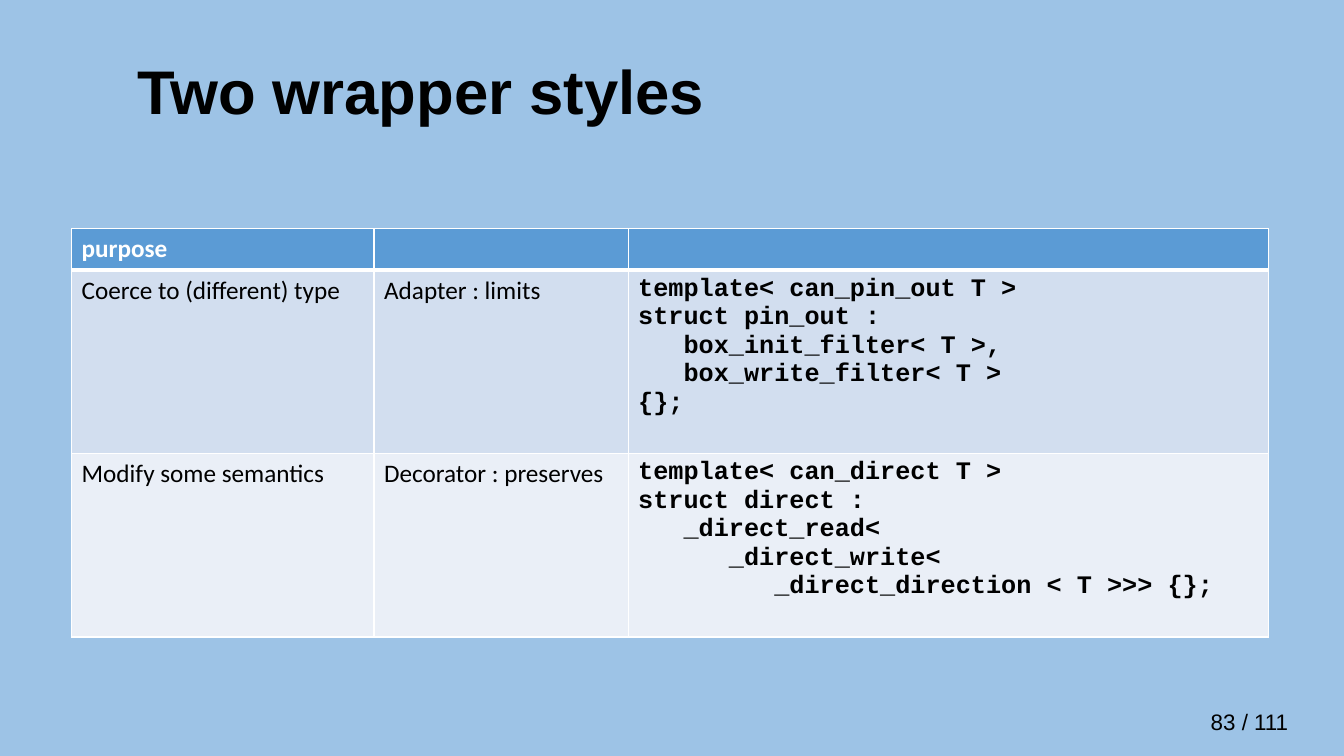
from dataclasses import dataclass

from lxml.etree import SubElement
from pptx import Presentation
from pptx.dml.color import RGBColor
from pptx.enum.text import MSO_ANCHOR, MSO_AUTO_SIZE, PP_ALIGN
from pptx.oxml.ns import qn
from pptx.util import Inches, Pt


@dataclass(frozen=True)
class Theme:
    background: str = "9DC3E6"
    ink: str = "000000"
    white: str = "FFFFFF"
    header: str = "5B9BD5"
    bands: tuple = ("D2DEEF", "EAEFF7")
    heading_font: str = "Arial"
    text_font: str = "Calibri"
    code_font: str = "Courier New"
    title_size: int = 44
    table_size: int = 18
    number_size: int = 16


ADAPTER_CODE = """template< can_pin_out T >
struct pin_out :
   box_init_filter< T >,
   box_write_filter< T >
{};"""

DECORATOR_CODE = """template< can_direct T >
struct direct :
   _direct_read<
      _direct_write<
         _direct_direction < T >>> {};"""

WRAPPER_ROWS = [
    ("purpose", "", ""),
    ("Coerce to (different) type", "Adapter : limits", ADAPTER_CODE),
    ("Modify some semantics", "Decorator : preserves", DECORATOR_CODE),
]


class SlideBuilder:
    def __init__(self, deck, theme):
        self.theme = theme
        self.page = deck.slides.add_slide(deck.slide_layouts[5])
        fill = self.page.background.fill
        fill.solid()
        fill.fore_color.rgb = RGBColor.from_string(theme.background)

    def set_text(self, frame, text, font, size, color, bold=False):
        frame.text = text
        for para in frame.paragraphs:
            para.alignment = PP_ALIGN.LEFT
            for span in para.runs:
                span.font.name = font
                span.font.size = Pt(size)
                span.font.bold = bold
                span.font.color.rgb = RGBColor.from_string(color)

    def title(self, text, left, top, width, height):
        box = self.page.shapes.title
        box.left, box.top = Inches(left), Inches(top)
        box.width, box.height = Inches(width), Inches(height)
        frame = box.text_frame
        frame.vertical_anchor = MSO_ANCHOR.MIDDLE
        self.set_text(frame, text, self.theme.heading_font,
                      self.theme.title_size, self.theme.ink, True)
        frame.paragraphs[0].line_spacing = 0.9

    def page_number(self, text, left, top, width, height):
        box = self.page.shapes.add_textbox(
            Inches(left), Inches(top), Inches(width), Inches(height))
        frame = box.text_frame
        frame.word_wrap = True
        frame.auto_size = MSO_AUTO_SIZE.SHAPE_TO_FIT_TEXT
        self.set_text(frame, text, self.theme.heading_font,
                      self.theme.number_size, self.theme.ink)

    def borders(self, cell, top, bottom):
        properties = cell._tc.get_or_add_tcPr()
        widths = {"a:lnL": 1, "a:lnR": 1, "a:lnT": top, "a:lnB": bottom}
        for side, width in widths.items():
            line = SubElement(properties, qn(side), w=str(Pt(width)))
            paint = SubElement(line, qn("a:solidFill"))
            SubElement(paint, qn("a:srgbClr"), val=self.theme.white)

    def table(self, rows, left, top, widths, heights):
        theme = self.theme
        grid = self.page.shapes.add_table(
            len(rows), len(widths), Inches(left), Inches(top),
            Inches(sum(widths)), Inches(sum(heights))).table
        for column, width in zip(grid.columns, widths):
            column.width = Inches(width)
        for row, height in zip(grid.rows, heights):
            row.height = Inches(height)
        fills = (theme.header, *theme.bands)
        for row_index, texts in enumerate(rows):
            is_header = row_index == 0
            for column_index, text in enumerate(texts):
                cell = grid.cell(row_index, column_index)
                is_code = column_index == 2 and not is_header
                self.borders(cell, 3 if row_index == 1 else 1,
                             3 if is_header else 1)
                cell.fill.solid()
                cell.fill.fore_color.rgb = RGBColor.from_string(fills[row_index])
                self.set_text(cell.text_frame, text,
                              theme.code_font if is_code else theme.text_font,
                              theme.table_size,
                              theme.white if is_header else theme.ink,
                              is_header or is_code)


def main():
    deck = Presentation()
    deck.slide_width, deck.slide_height = Inches(13.33), Inches(7.5)
    slide = SlideBuilder(deck, Theme())
    slide.page_number("83 / 111", 11.91, 6.98, 1.25, 0.37)
    slide.title("Two wrapper styles", 1.26, 0.21, 11.5, 1.45)
    slide.table(WRAPPER_ROWS, 0.71, 2.27, (3, 2.52, 6.35), (0.41, 1.82, 1.82))
    deck.save("out.pptx")


if __name__ == "__main__":
    main()
